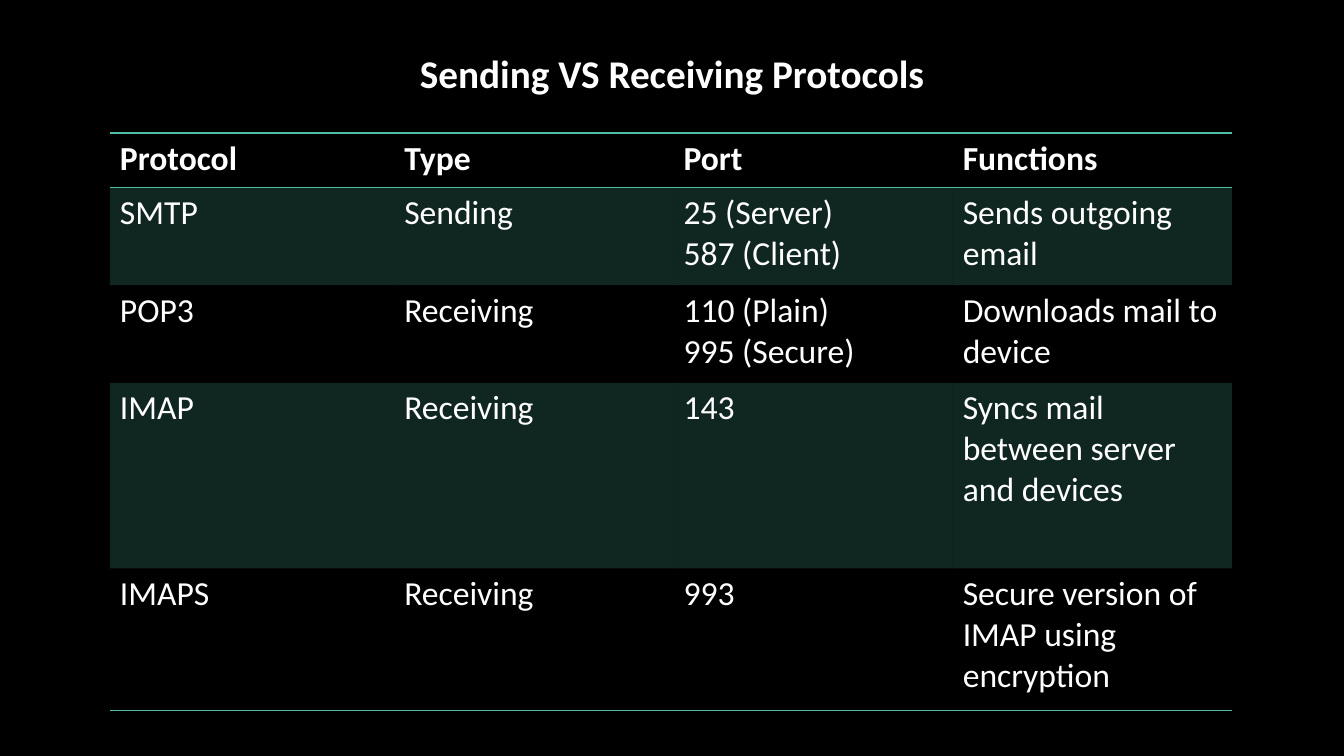
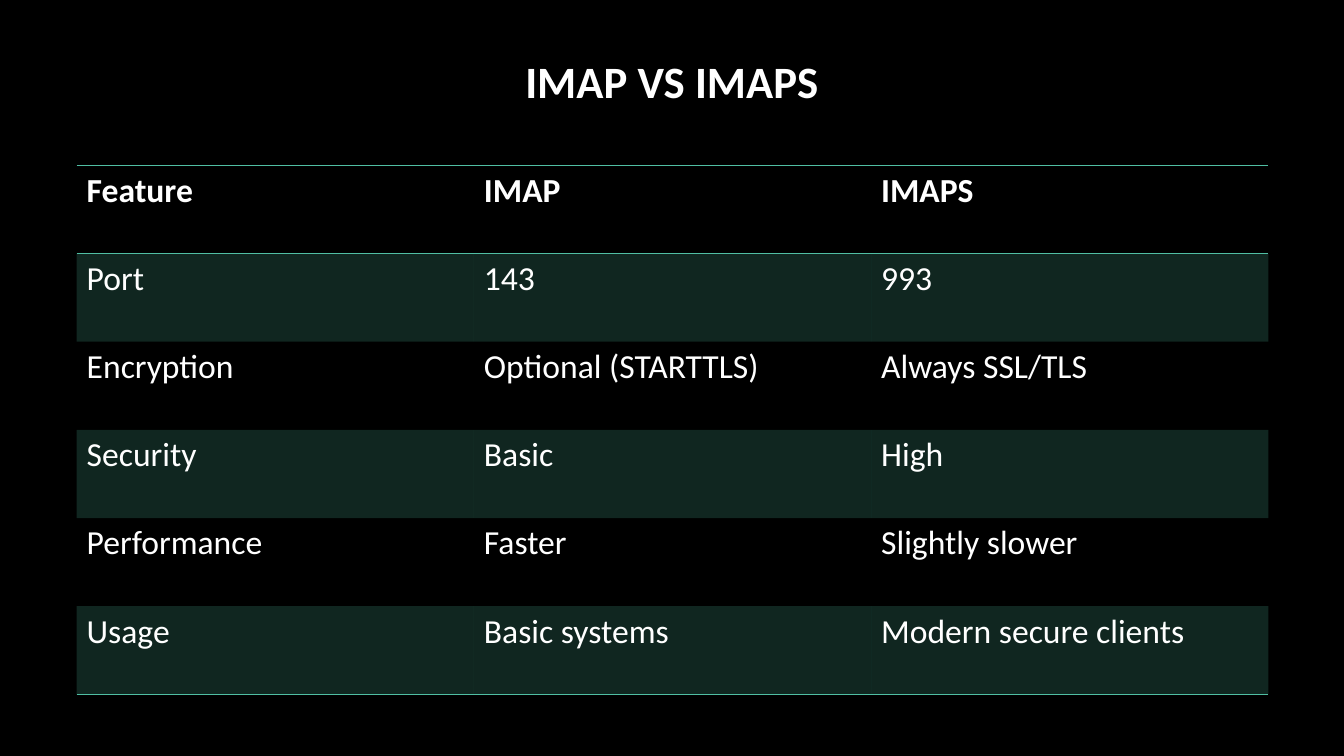
from dataclasses import dataclass

from lxml import etree
from pptx import Presentation
from pptx.dml.color import RGBColor
from pptx.enum.text import MSO_ANCHOR, MSO_AUTO_SIZE, PP_ALIGN
from pptx.oxml.ns import qn
from pptx.util import Inches, Pt

CENTER = PP_ALIGN.CENTER
MIDDLE = MSO_ANCHOR.MIDDLE
GROW = MSO_AUTO_SIZE.SHAPE_TO_FIT_TEXT
TITLE_ONLY = 5
PLAIN_TABLE_STYLE = "{2D5ABB26-0587-4C30-8999-92F81FD0307C}"


@dataclass(frozen=True)
class Theme:
    font: str = "Calibri"
    background: str = "000000"
    text: str = "FFFFFF"
    accent: str = "50BEA3"
    band_opacity: int = 20
    rule_width: float = 1
    table_size: int = 24


THEME = Theme()

PROTOCOLS = [
    ["Protocol", "Type", "Port", "Functions"],
    ["SMTP", "Sending", "25 (Server)\n587 (Client)", "Sends outgoing email"],
    ["POP3", "Receiving", "110 (Plain)\n995 (Secure)", "Downloads mail to device"],
    ["IMAP", "Receiving", "143", "Syncs mail between server and devices"],
    ["IMAPS", "Receiving", "993", "Secure version of IMAP using encryption"],
]
COMPARISON = [
    ["Feature", "IMAP", "IMAPS"],
    ["Port", "143", "993"],
    ["Encryption", "Optional (STARTTLS)", "Always SSL/TLS"],
    ["Security", "Basic", "High"],
    ["Performance", "Faster", "Slightly slower"],
    ["Usage", "Basic systems", "Modern secure clients"],
]


def format_text(frame, size, bold):
    for para in frame.paragraphs:
        for span in para.runs:
            span.font.name = THEME.font
            span.font.size = Pt(size)
            span.font.bold = bold
            span.font.color.rgb = RGBColor.from_string(THEME.text)


def add_titled_slide(deck, title, top, height, size):
    slide = deck.slides.add_slide(deck.slide_layouts[TITLE_ONLY])
    box = slide.shapes.title
    box.left, box.top = Inches(0.4), Inches(top)
    box.width, box.height = deck.slide_width - 2 * box.left, Inches(height)
    frame = box.text_frame
    frame.text = title
    frame.word_wrap = True
    frame.auto_size = GROW
    frame.vertical_anchor = MIDDLE
    frame.paragraphs[0].alignment = CENTER
    format_text(frame, size, True)
    return slide


def add_accent_fill(parent):
    fill = etree.SubElement(parent, qn("a:solidFill"))
    return etree.SubElement(fill, qn("a:srgbClr"), val=THEME.accent)


def style_cell(cell, rules, banded):
    """Draw the named rules (lnT, lnB), then the translucent band."""
    properties = cell._tc.get_or_add_tcPr()
    for rule in rules:
        line = etree.SubElement(properties, qn(f"a:{rule}"), w=str(Pt(THEME.rule_width)))
        add_accent_fill(line)
    if banded:
        color = add_accent_fill(properties)
        etree.SubElement(color, qn("a:alpha"), val=str(THEME.band_opacity * 1000))
    else:
        cell.fill.background()


def add_banded_table(slide, rows, left, top, widths, heights):
    frame = slide.shapes.add_table(
        len(rows), len(widths), Inches(left), Inches(top),
        Inches(sum(widths)), Inches(sum(heights)))
    table = frame.table
    table.horz_banding = False
    table._tbl.tblPr.find(qn("a:tableStyleId")).text = PLAIN_TABLE_STYLE
    for column, width in zip(table.columns, widths):
        column.width = Inches(width)
    last = len(rows) - 1
    for index, (texts, height) in enumerate(zip(rows, heights)):
        table.rows[index].height = Inches(height)
        rules = {0: ["lnT", "lnB"], last: ["lnB"]}.get(index, [])
        for cell, text in zip(table.rows[index].cells, texts):
            cell.text_frame.text = text
            format_text(cell.text_frame, THEME.table_size, index == 0)
            style_cell(cell, rules, banded=index % 2 == 1)


def main():
    deck = Presentation()
    deck.slide_width, deck.slide_height = Inches(13.33), Inches(7.5)
    background = deck.slide_master.background.fill
    background.solid()
    background.fore_color.rgb = RGBColor.from_string(THEME.background)

    slide = add_titled_slide(deck, "Sending VS Receiving Protocols", 0.44, 0.57, 28)
    add_banded_table(slide, PROTOCOLS, 1.09, 1.32,
                     [2.82] + [2.77] * 3, [0.54, 0.97, 0.97, 1.84, 1.41])

    slide = add_titled_slide(deck, "IMAP VS IMAPS", 0.48, 0.64, 32)
    add_banded_table(slide, COMPARISON, 0.76, 1.64,
                     [3.94] * 3, [0.875] * len(COMPARISON))
    deck.save("out.pptx")


if __name__ == "__main__":
    main()
